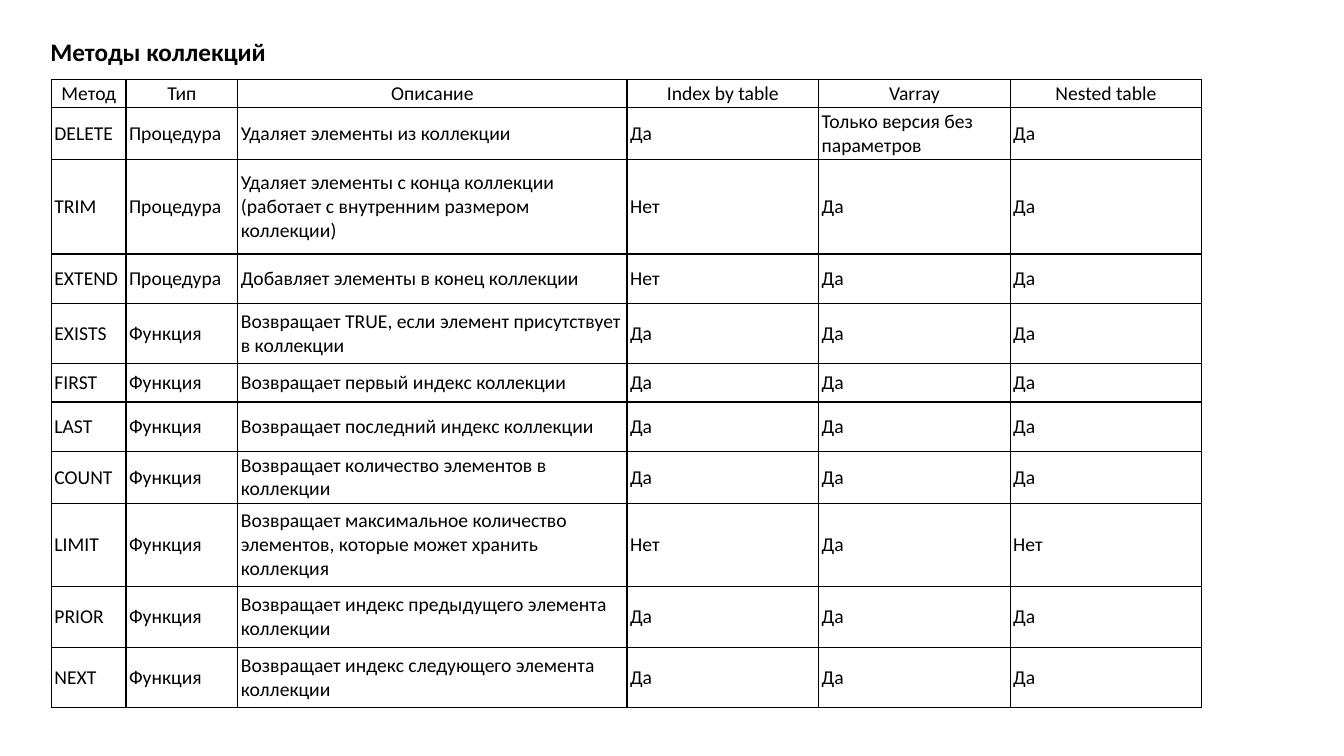
from dataclasses import dataclass

from lxml.etree import SubElement as Sub
from pptx import Presentation
from pptx.dml.color import RGBColor as RGB
from pptx.enum.text import MSO_ANCHOR as Anchor, PP_ALIGN as Align
from pptx.oxml.ns import qn
from pptx.util import Inches, Pt


@dataclass(frozen=True)
class Theme:
    face: str = "Calibri"
    ink: RGB = RGB(0, 0, 0)
    head: int = 18
    body: int = 14
    rule: int = 1


class Page:
    """Draws styled elements on one slide."""

    def __init__(self, slide, theme):
        self.slide = slide
        self.theme = theme

    def style(self, para, size, bold=False, align=Align.LEFT):
        para.alignment = align
        font = para.font
        font.name, font.size, font.bold = self.theme.face, Pt(size), bold
        font.color.rgb = self.theme.ink

    def title(self, text, left, top, width, height):
        box = self.slide.shapes.add_textbox(*map(Inches, (left, top, width, height)))
        frame = box.text_frame
        frame.word_wrap = False
        frame.text = text
        self.style(frame.paragraphs[0], self.theme.head, bold=True)

    def border(self, cell):
        props = cell._tc.get_or_add_tcPr()
        for index, side in enumerate(("lnL", "lnR", "lnT", "lnB")):
            line = props.makeelement(qn(f"a:{side}"), {"w": str(Pt(self.theme.rule))})
            fill = Sub(line, qn("a:solidFill"))
            Sub(fill, qn("a:srgbClr"), val=str(self.theme.ink))
            props.insert(index, line)

    def cell(self, cell, text, align):
        cell.text = text
        cell.vertical_anchor = Anchor.MIDDLE
        cell.margin_left = cell.margin_right = Inches(0.03)
        cell.margin_top = cell.margin_bottom = Inches(0.02)
        cell.fill.background()
        self.style(cell.text_frame.paragraphs[0], self.theme.body, align=align)
        self.border(cell)

    def table(self, data, left, top, widths, heights):
        size = map(Inches, (left, top, sum(widths), sum(heights)))
        table = self.slide.shapes.add_table(len(data), len(widths), *size).table
        table.first_row = table.horz_banding = False
        for col, width in zip(table.columns, widths):
            col.width = Inches(width)
        for index, (row, height, texts) in enumerate(zip(table.rows, heights, data)):
            row.height = Inches(height)
            align = Align.LEFT if index else Align.CENTER
            for cell, text in zip(row.cells, texts):
                self.cell(cell, text, align)


YES, NO = "Да", "Нет"
PROC, FUNC = "Процедура", "Функция"
ALL = (YES, YES, YES)
METHODS = [
    ("Метод", "Тип", "Описание", "Index by table", "Varray", "Nested table"),
    ("DELETE", PROC, "Удаляет элементы из коллекции",
     YES, "Только версия без параметров", YES),
    ("TRIM", PROC, "Удаляет элементы с конца коллекции "
     "(работает с внутренним размером коллекции)", NO, YES, YES),
    ("EXTEND", PROC, "Добавляет элементы в конец коллекции", NO, YES, YES),
    ("EXISTS", FUNC, "Возвращает TRUE, если элемент присутствует в коллекции", *ALL),
    ("FIRST", FUNC, "Возвращает первый индекс коллекции", *ALL),
    ("LAST", FUNC, "Возвращает последний индекс коллекции", *ALL),
    ("COUNT", FUNC, "Возвращает количество элементов в коллекции", *ALL),
    ("LIMIT", FUNC, "Возвращает максимальное количество элементов, "
     "которые может хранить коллекция", NO, YES, NO),
    ("PRIOR", FUNC, "Возвращает индекс предыдущего элемента коллекции", *ALL),
    ("NEXT", FUNC, "Возвращает индекс следующего элемента коллекции", *ALL),
]
WIDTHS = [0.74, 1.11, 3.86] + [1.9] * 3
HEIGHTS = [0.27, 0.5, 0.94, 0.49, 0.6, 0.38, 0.49, 0.5, 0.83, 0.6, 0.6]

deck = Presentation()
deck.slide_width, deck.slide_height = Inches(13.33), Inches(7.5)
page = Page(deck.slides.add_slide(deck.slide_layouts[6]), Theme())
page.table(METHODS, 0.51, 0.79, WIDTHS, HEIGHTS)
page.title("Методы коллекций", 0.4, 0.31, 2.35, 0.4)
deck.save("out.pptx")
